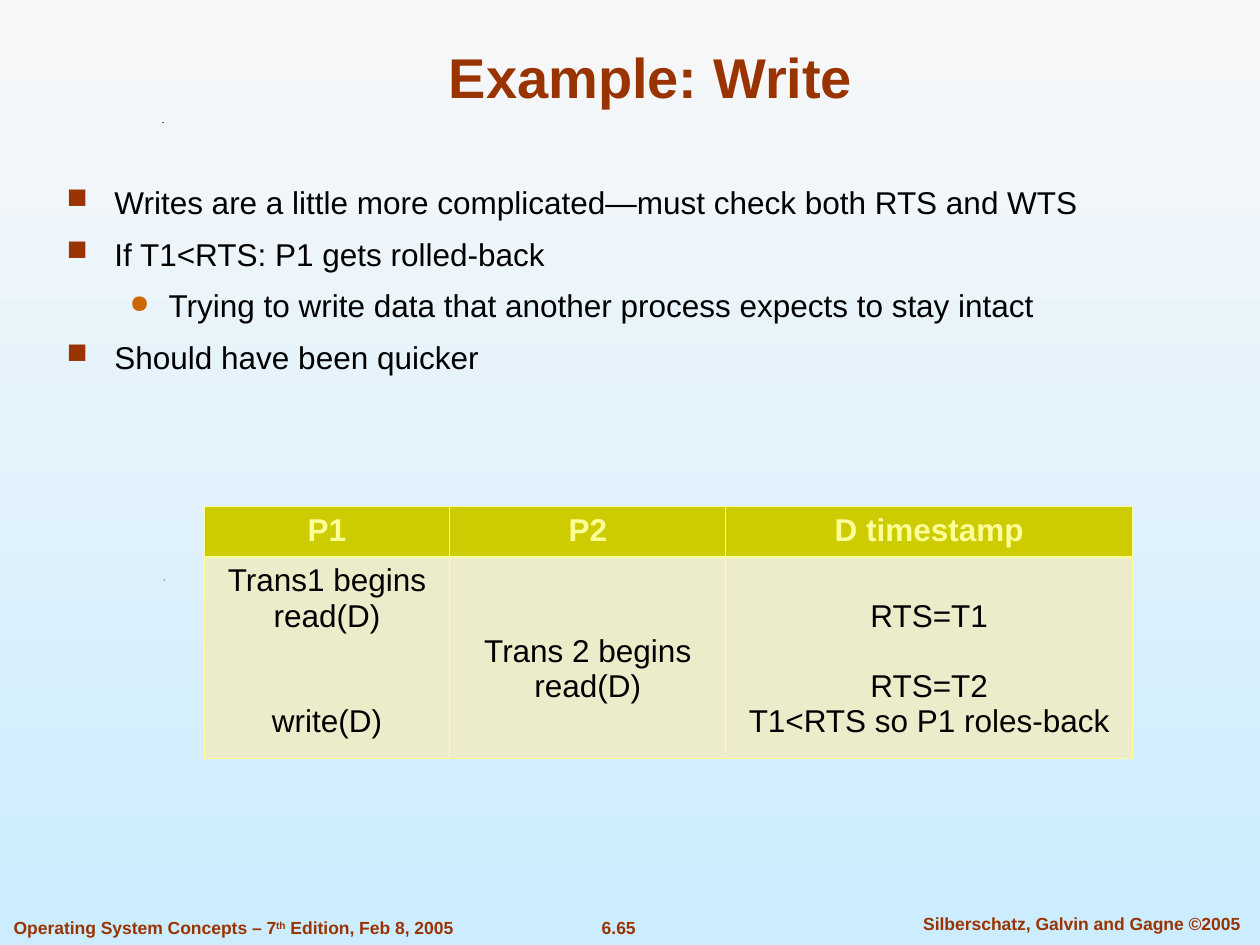
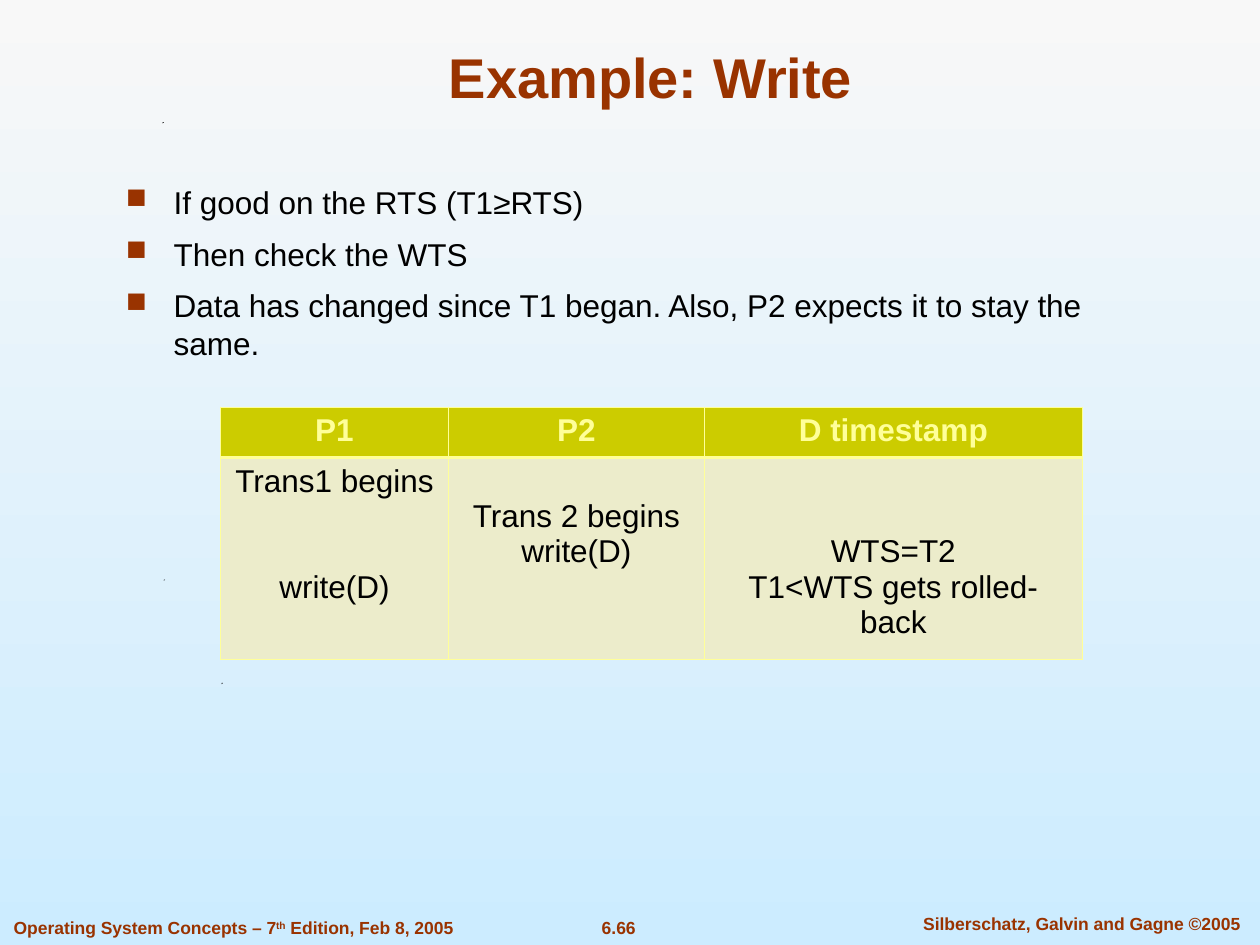
import pptx
import pptx.dml.color
import pptx.enum.text
import pptx.oxml
import pptx.oxml.ns
import pptx.util
from lxml import etree

RGBColor = pptx.dml.color.RGBColor
Inches = pptx.util.Inches
Pt = pptx.util.Pt
ALIGN = pptx.enum.text.PP_ALIGN
ANCHOR = pptx.enum.text.MSO_ANCHOR

FONT = "Arial"
RUST = RGBColor(0x99, 0x33, 0x00)
ORANGE = RGBColor(0xCC, 0x66, 0x00)
BLACK = RGBColor(0x00, 0x00, 0x00)
PALE_YELLOW = RGBColor(0xFF, 0xFF, 0x99)
OLIVE = RGBColor(0xCC, 0xCC, 0x00)
CREAM = RGBColor(0xEC, 0xEC, 0xCB)
SKY_TOP = RGBColor(0xF8, 0xF8, 0xF8)
SKY_BOTTOM = RGBColor(0xCC, 0xEC, 0xFF)

CELL_LINE = 20.15  # height in points of one 18-point line
CELL_MARGIN = Inches(0.05)
THIN, THICK = Pt(0.45), Pt(1.47)
SPECKS = [(1.76, 5.42), (1.3, 4.6), (5.65, 4.6), (1.29, 0.97)]

# Bullet level: (character, colour, size percent, left margin, hanging indent)
BULLETS = [("■", RUST, 90, 0.38, 0.38), ("●", ORANGE, 80, 0.81, 0.31)]


def format_runs(paragraph, size, color, bold=False):
    for run in paragraph.runs:
        run.font.name = FONT
        run.font.size = Pt(size)
        run.font.bold = bold
        run.font.color.rgb = color


def add_text_box(slide, left, top, width, height, wrap=True):
    shape = slide.shapes.add_textbox(Inches(left), Inches(top), Inches(width), Inches(height))
    shape.text_frame.word_wrap = wrap
    return shape.text_frame


def add_title(slide, text):
    text_frame = add_text_box(slide, 0.75, 0.25, 8.83, 0.67)
    text_frame.vertical_anchor = ANCHOR.BOTTOM
    text_frame.text = text
    paragraph = text_frame.paragraphs[0]
    paragraph.alignment = ALIGN.CENTER
    format_runs(paragraph, 32, RUST, bold=True)


def add_footer_text(slide, left, top, width, parts, alignment):
    """Add one footer line; the second of several parts is superscript."""
    paragraph = add_text_box(slide, left, top, width, 0.27, wrap=False).paragraphs[0]
    paragraph.alignment = alignment
    for index, part in enumerate(parts):
        run = paragraph.add_run()
        run.text = part
        if index == 1:
            run.font._element.set("baseline", "30000")
    format_runs(paragraph, 10, RUST, bold=True)


def add_footer(slide, number):
    add_footer_text(slide, 4.42, 7.23, 0.98, [number], ALIGN.CENTER)
    add_footer_text(slide, 7.1, 7.2, 2.97, ["Silberschatz, Galvin and Gagne ©2005"], ALIGN.CENTER)
    edition = ["Operating System Concepts – 7", "th", " Edition, Feb 8, 2005"]
    add_footer_text(slide, 0.01, 7.23, 3.69, edition, ALIGN.LEFT)


def add_specks(slide):
    for left, top in SPECKS:
        builder = slide.shapes.build_freeform(Inches(left), Inches(top + 0.01), scale=1.0)
        builder.add_line_segments([(Inches(left + 0.01), Inches(top)),
                                   (Inches(left), Inches(top))])
        shape = builder.convert_to_shape()
        shape.shadow.inherit = False
        shape.fill.solid()
        shape.fill.fore_color.rgb = BLACK
        shape.line.fill.background()


def add_bullet(paragraph, level):
    character, color, percent, margin, hanging = BULLETS[level]
    paragraph.level = level
    properties = paragraph._p.get_or_add_pPr()
    properties.set("marL", str(Inches(margin)))
    properties.set("indent", str(-Inches(hanging)))
    bullet_color = etree.SubElement(properties, pptx.oxml.ns.qn("a:buClr"))
    etree.SubElement(bullet_color, pptx.oxml.ns.qn("a:srgbClr"), val=str(color))
    etree.SubElement(properties, pptx.oxml.ns.qn("a:buSzPct"), val=str(percent * 1000))
    etree.SubElement(properties, pptx.oxml.ns.qn("a:buChar"), char=character)


def add_bullet_list(slide, left, width, items):
    """Add (level, text) items as a bulleted list."""
    text_frame = add_text_box(slide, left, 1.4, width, 4.9)
    text_frame.text = "\n".join(text for _, text in items)
    for index, (paragraph, (level, _)) in enumerate(zip(text_frame.paragraphs, items)):
        add_bullet(paragraph, level)
        paragraph.line_spacing = Pt(21.7)
        if index:
            paragraph.space_before = Pt(7.9)
        format_runs(paragraph, 18, BLACK)


def set_borders(cell, top, bottom):
    properties = cell._tc.get_or_add_tcPr()
    for side, width in (("L", THIN), ("R", THIN), ("T", top), ("B", bottom)):
        line = etree.SubElement(properties, pptx.oxml.ns.qn("a:ln" + side), w=str(width))
        fill = etree.SubElement(line, pptx.oxml.ns.qn("a:solidFill"))
        etree.SubElement(fill, pptx.oxml.ns.qn("a:srgbClr"), val=str(PALE_YELLOW))


def fill_cell(cell, steps, fill, color, bold=False):
    """Write {line number: text} so that each text stands on its own line."""
    cell.fill.solid()
    cell.fill.fore_color.rgb = fill
    cell.text_frame.text = "\n".join(steps.values())
    next_line = 0
    for paragraph, line in zip(cell.text_frame.paragraphs, steps):
        gap = Pt(CELL_LINE * (line - next_line))
        if next_line == 0:
            cell.margin_top = CELL_MARGIN + gap
        elif gap:
            paragraph.space_before = gap
        paragraph.alignment = ALIGN.CENTER
        format_runs(paragraph, 18, color, bold)
        next_line = line + 1


def add_schedule(slide, left, top, widths, columns):
    """Add the table of process steps, one column of steps per heading."""
    frame = slide.shapes.add_table(2, len(columns), Inches(left), Inches(top),
                                   Inches(sum(widths)), Inches(2))
    table = frame.table
    table.rows[0].height, table.rows[1].height = Inches(0.4), Inches(1.6)
    for index, (heading, steps) in enumerate(columns.items()):
        table.columns[index].width = Inches(widths[index])
        header, body = table.cell(0, index), table.cell(1, index)
        set_borders(header, THIN, THICK)
        set_borders(body, THICK, THIN)
        fill_cell(header, {0: heading}, OLIVE, PALE_YELLOW, bold=True)
        fill_cell(body, steps, CREAM, BLACK)


def set_background(master):
    fill = master.background.fill
    fill.gradient()
    fill.gradient_angle = 270
    for stop, color in zip(fill.gradient_stops, (SKY_TOP, SKY_BOTTOM)):
        stop.color.rgb = color


def add_example_slide(presentation, number):
    slide = presentation.slides.add_slide(presentation.slide_layouts[6])
    add_specks(slide)
    add_footer(slide, number)
    add_title(slide, "Example: Write")
    return slide


def main():
    presentation = pptx.Presentation()
    presentation.slide_width = Inches(10)
    presentation.slide_height = Inches(7.5)
    set_background(presentation.slide_master)

    slide = add_example_slide(presentation, "6.65")
    add_bullet_list(slide, 0.43, 9.02, [
        (0, "Writes are a little more complicated—must check both RTS and WTS"),
        (0, "If T1<RTS: P1 gets rolled-back"),
        (1, "Trying to write data that another process expects to stay intact"),
        (0, "Should have been quicker"),
    ])
    add_schedule(slide, 1.62, 4.02, [1.95, 2.19, 3.23], {
        "P1": {0: "Trans1 begins", 1: "read(D)", 4: "write(D)"},
        "P2": {2: "Trans 2 begins", 3: "read(D)"},
        "D timestamp": {1: "RTS=T1", 3: "RTS=T2", 4: "T1<RTS so P1 roles-back"},
    })

    slide = add_example_slide(presentation, "6.66")
    add_bullet_list(slide, 0.9, 8.04, [
        (0, "If good on the RTS (T1≥RTS)"),
        (0, "Then check the WTS"),
        (0, "Data has changed since T1 began. Also, P2 expects it to stay the same."),
    ])
    add_schedule(slide, 1.75, 3.23, [1.81, 2.03, 3], {
        "P1": {0: "Trans1 begins", 3: "write(D)"},
        "P2": {1: "Trans 2 begins", 2: "write(D)"},
        "D timestamp": {2: "WTS=T2", 3: "T1<WTS gets rolled-back"},
    })

    presentation.save("out.pptx")


if __name__ == "__main__":
    main()
